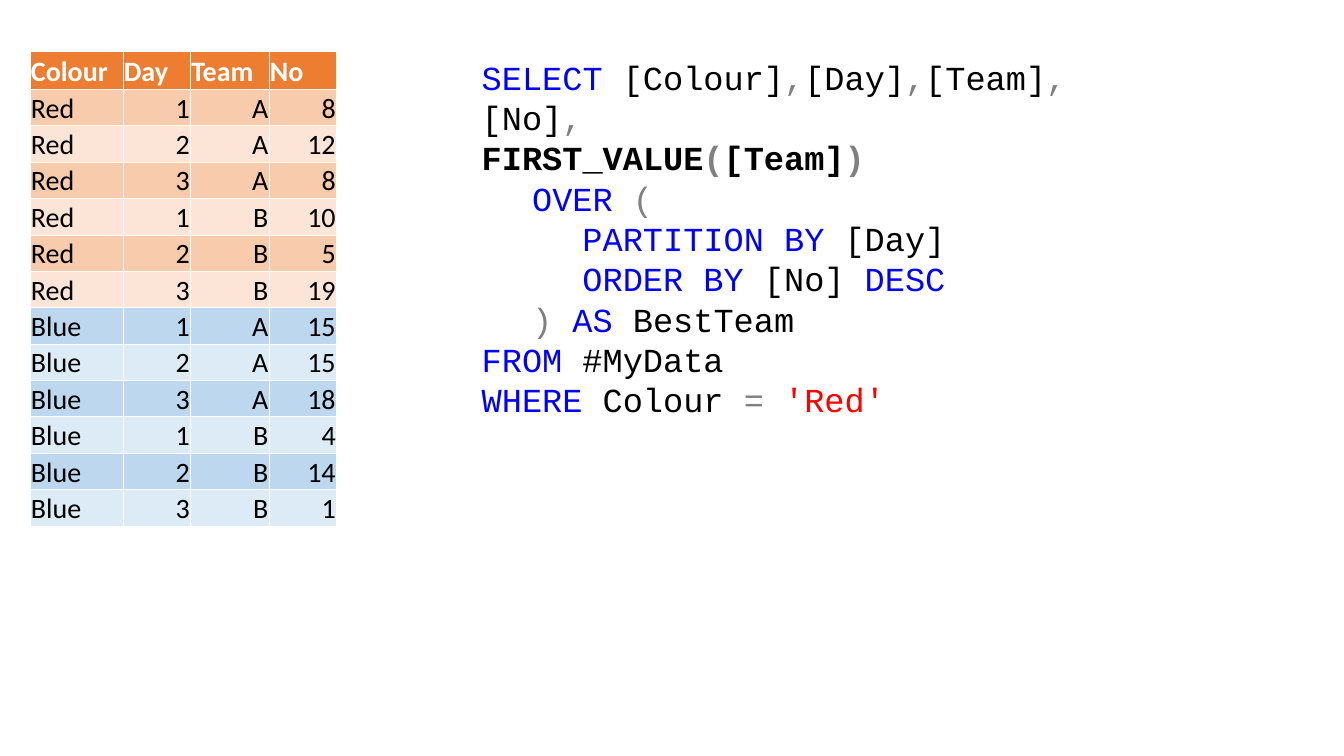
import pptx
import pptx.dml.color
import pptx.enum.text
import pptx.util
import lxml.etree
import itertools

Cm = pptx.util.Cm
Pt = pptx.util.Pt
ALIGN = pptx.enum.text.PP_ALIGN
NS = "http://schemas.openxmlformats.org/drawingml/2006/main"

WHITE, BLACK, ORANGE = "FFFFFF", "000000", "ED7D31"
BLUE, GREY, RED = "0000FF", "808080", "FF0000"

HEADS = ["Colour", "Day", "Team", "No"]
SCORES = {
    "Red": [8, 12, 8, 10, 5, 19],
    "Blue": [15, 15, 18, 4, 14, 1],
}
BANDS = {"Red": ["F8CBAD", "FCE4D6"], "Blue": ["BDD7EE", "DDEBF7"]}
WIDTHS = [2.34, 1.7, 1.98, 1.7]

QUERY = [
    (0, False, [("SELECT", BLUE), (" [Colour]", BLACK), (",", GREY), ("[Day]", BLACK),
                (",", GREY), ("[Team]", BLACK), (",", GREY), ("[No]", BLACK), (",", GREY)]),
    (0, True, [("FIRST_VALUE", BLACK), ("(", GREY), ("[Team]", BLACK), (")", GREY)]),
    (1, False, [("OVER ", BLUE), ("(", GREY)]),
    (2, False, [("PARTITION BY", BLUE), (" [Day]", BLACK)]),
    (2, False, [("ORDER BY", BLUE), (" [No] ", BLACK), ("DESC", BLUE)]),
    (1, False, [(") ", GREY), ("AS ", BLUE), ("BestTeam", BLACK)]),
    (0, False, [("FROM", BLUE), (" #MyData", BLACK)]),
    (0, False, [("WHERE", BLUE), (" Colour ", BLACK), ("= ", GREY), ("'Red'", RED)]),
]


def tint(code):
    return pptx.dml.color.RGBColor.from_string(code)


def style(font, name, size, code, bold):
    font.name = name
    font.size = Pt(size)
    font.bold = bold
    font.color.rgb = tint(code)


def edge(cell):
    props = cell._tc.get_or_add_tcPr()
    for spot, side in enumerate(["lnL", "lnR", "lnT", "lnB"]):
        line = lxml.etree.Element(f"{{{NS}}}{side}", w=str(Pt(0.5)))
        fill = lxml.etree.SubElement(line, f"{{{NS}}}solidFill")
        lxml.etree.SubElement(fill, f"{{{NS}}}srgbClr", val=WHITE)
        props.insert(spot, line)


def put(cell, text, fill, ink, bold, align):
    cell.text_frame.text = text
    cell.vertical_anchor = pptx.enum.text.MSO_ANCHOR.BOTTOM
    cell.margin_left = cell.margin_right = cell.margin_top = Cm(0.02)
    cell.margin_bottom = 0
    cell.fill.solid()
    cell.fill.fore_color.rgb = tint(fill)
    line = cell.text_frame.paragraphs[0]
    line.alignment = align
    style(line.runs[0].font, "Calibri", 20, ink, bold)
    edge(cell)


def data():
    for colour, scores in SCORES.items():
        keys = itertools.product("AB", "123")
        for spot, ((team, day), score) in enumerate(zip(keys, scores)):
            yield BANDS[colour][spot % 2], [colour, day, team, str(score)]


def draw_table(slide, left, top, width, height):
    rows = list(data())
    frame = slide.shapes.add_table(
        len(rows) + 1, len(HEADS), Cm(left), Cm(top), Cm(width), Cm(height))
    table = frame.table
    for col, share in zip(table.columns, WIDTHS):
        col.width = Cm(width * share / sum(WIDTHS))
    first = 0.95
    for spot, row in enumerate(table.rows):
        row.height = Cm((height - first) / len(rows) if spot else first)
    for col, text in enumerate(HEADS):
        put(table.cell(0, col), text, ORANGE, WHITE, True, ALIGN.LEFT)
    for row, (fill, texts) in enumerate(rows, 1):
        for col, text in enumerate(texts):
            align = ALIGN.RIGHT if col else ALIGN.LEFT
            put(table.cell(row, col), text, fill, BLACK, False, align)


def draw_query(slide, left, top, width, height):
    box = slide.shapes.add_textbox(Cm(left), Cm(top), Cm(width), Cm(height))
    frame = box.text_frame
    frame.word_wrap = True
    for spot, (level, bold, parts) in enumerate(QUERY):
        line = frame.add_paragraph() if spot else frame.paragraphs[0]
        line.level = level
        for text, code in parts:
            run = line.add_run()
            run.text = text
            style(run.font, "Courier New", 24, code, bold)


def main():
    deck = pptx.Presentation()
    deck.slide_width, deck.slide_height = Cm(33.87), Cm(19.05)
    slide = deck.slides.add_slide(deck.slide_layouts[6])
    draw_table(slide, 0.76, 1.3, 7.72, 11.96)
    draw_query(slide, 11.89, 1.3, 16.94, 8.46)
    deck.save("out.pptx")


if __name__ == "__main__":
    main()
